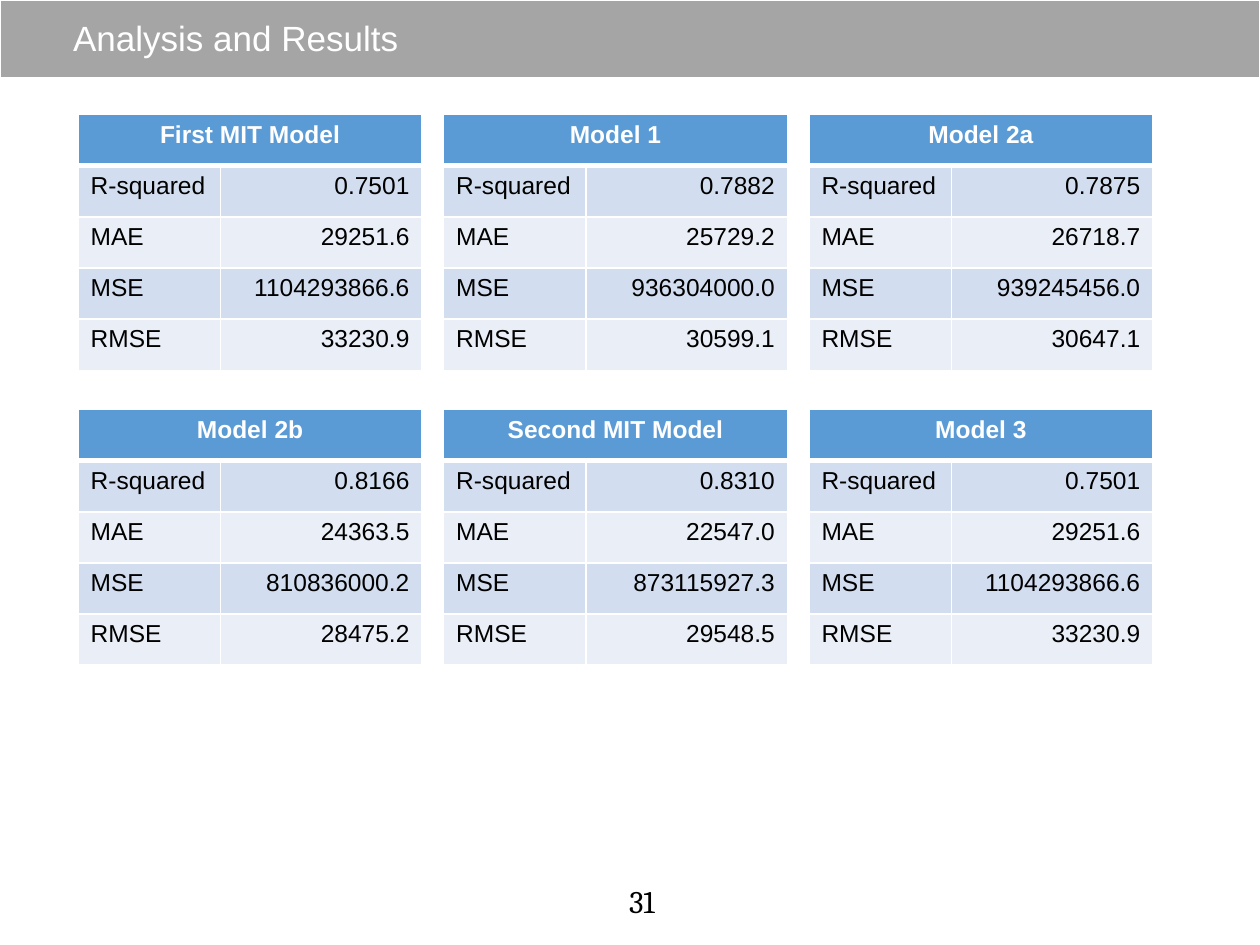
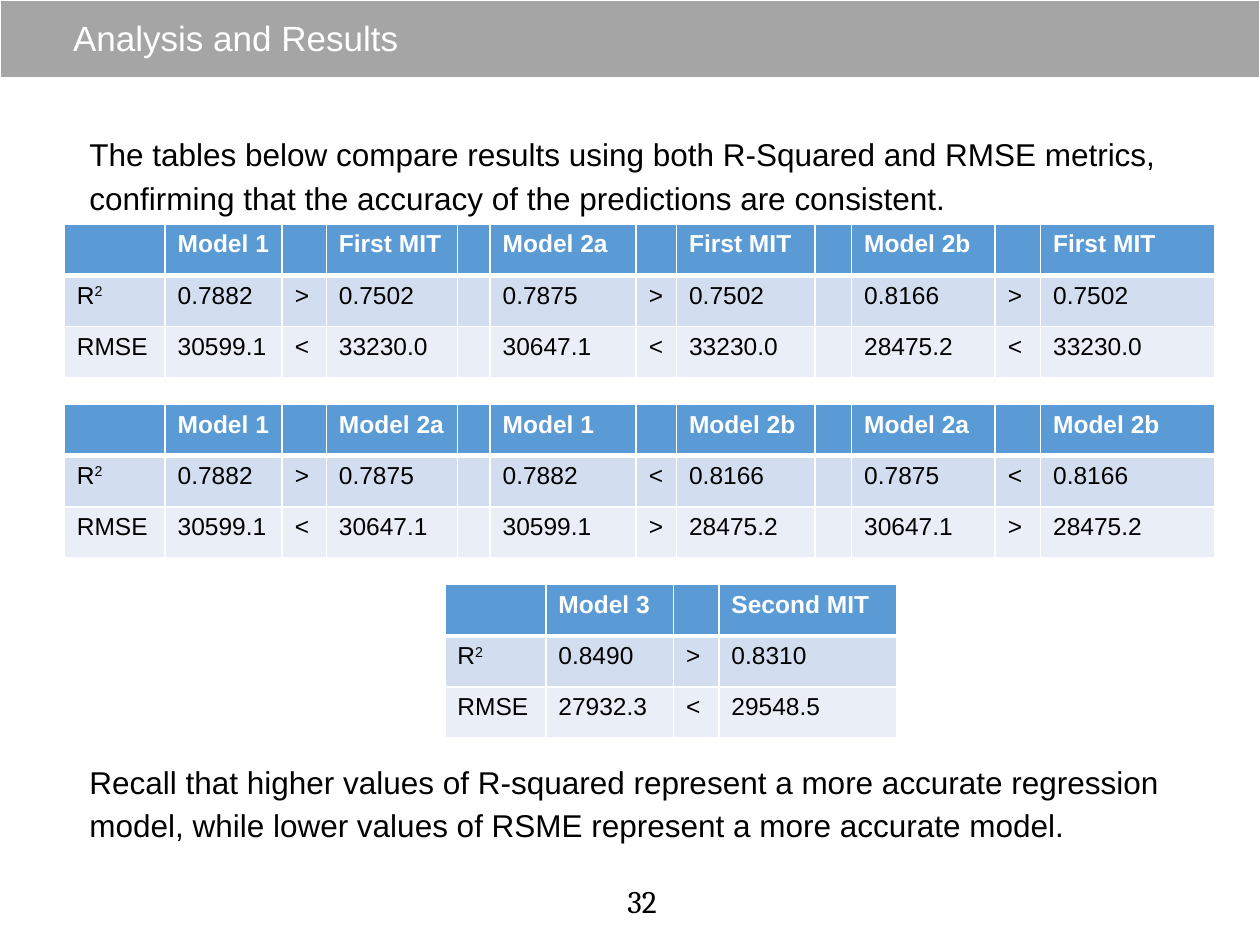
from collections import namedtuple

from lxml import etree
from pptx import Presentation
from pptx.dml.color import RGBColor
from pptx.enum.shapes import MSO_SHAPE
from pptx.enum.text import MSO_ANCHOR, PP_ALIGN
from pptx.oxml.ns import qn
from pptx.util import Inches, Pt

RECT = MSO_SHAPE.RECTANGLE
MIDDLE, TOP = MSO_ANCHOR.MIDDLE, MSO_ANCHOR.TOP
LEFT, CENTER, RIGHT = PP_ALIGN.LEFT, PP_ALIGN.CENTER, PP_ALIGN.RIGHT

WHITE, BLACK, GRAY = "FFFFFF", "000000", "A5A5A5"
HEAD, BANDS = "5B9BD5", ("D2DEEF", "EAEFF7")

# The slide is a grid of 10 columns and 7.5 rows, one inch each
COLS, ROWS = 10, 7.5
Box = namedtuple("Box", "x y w h")
BAND = Box(0, 0, COLS, 0.62)
TITLE = Box(0.53, 0.02, 7.67, 0.59)
NUMBER = Box(4.87, 6.95, 0.45, 0.4)
BODY = Box(0.66, 0.98, 8.67, 5.97)

LABELS = ("R-squared", "MAE", "MSE", "RMSE")
MODELS = {
    "First MIT Model": ("0.7501", "29251.6", "1104293866.6", "33230.9"),
    "Model 1": ("0.7882", "25729.2", "936304000.0", "30599.1"),
    "Model 2a": ("0.7875", "26718.7", "939245456.0", "30647.1"),
    "Model 2b": ("0.8166", "24363.5", "810836000.2", "28475.2"),
    "Second MIT Model": ("0.8310", "22547.0", "873115927.3", "29548.5"),
    "Model 3": ("0.7501", "29251.6", "1104293866.6", "33230.9"),
}

# R² and RMSE of each model that is compared
SCORES = {
    "Model 1": ("0.7882", "30599.1"),
    "Model 2a": ("0.7875", "30647.1"),
    "Model 2b": ("0.8166", "28475.2"),
    "Model 3": ("0.8490", "27932.3"),
    "First MIT": ("0.7502", "33230.0"),
    "Second MIT": ("0.8310", "29548.5"),
}
WIDE = (0.8, 0.93, 0.35, 1.04, 0.26, 1.16, 0.32, 1.1, 0.29, 1.14, 0.36, 1.38)
NARROW = (0.8, 1.01, 0.36, 1.41)
DUELS = (
    (Box(0.51, 1.78, 9.13, 1.22), WIDE,
     (("Model 1", "First MIT"), ("Model 2a", "First MIT"), ("Model 2b", "First MIT"))),
    (Box(0.51, 3.21, 9.13, 1.22), WIDE,
     (("Model 1", "Model 2a"), ("Model 1", "Model 2b"), ("Model 2a", "Model 2b"))),
    (Box(3.53, 4.64, 3.59, 1.22), NARROW, (("Model 3", "Second MIT"),)),
)
INTRO = ("The tables below compare results using both R-Squared and RMSE metrics, "
         "confirming that the accuracy of the predictions are consistent.")
RECALL = ("Recall that higher values of R-squared represent a more accurate regression "
          "model, while lower values of RSME represent a more accurate model.")


def color(code):
    return RGBColor.from_string(code)


def place(box):
    return [Inches(n) for n in box]


def style(para, size, code, font="Arial", bold=False, align=LEFT):
    para.alignment = align
    for run in para.runs:
        run.font.size, run.font.name, run.font.bold = Pt(size), font, bold
        run.font.color.rgb = color(code)


def add_text(slide, box, lines, size, code, font="Arial", align=LEFT, anchor=TOP):
    frame = slide.shapes.add_textbox(*place(box)).text_frame
    frame.word_wrap = True
    frame.vertical_anchor = anchor
    frame.margin_left = frame.margin_right = Inches(0.05)
    frame.margin_top = frame.margin_bottom = Inches(0.05)
    frame.text = "\n".join(lines)
    for para in frame.paragraphs:
        style(para, size, code, font, align=align)
    return frame.paragraphs


def add_base(deck, number):
    """Blank slide with band, title and page number."""
    slide = deck.slides.add_slide(deck.slide_layouts[6])
    band = slide.shapes.add_shape(RECT, *place(BAND))
    band.shadow.inherit = False
    band.fill.solid()
    band.fill.fore_color.rgb = color(GRAY)
    band.line.color.rgb = color(WHITE)
    band.line.width = Pt(1.5)
    title = add_text(slide, TITLE, ["Analysis and Results"], 20, WHITE, anchor=MIDDLE)
    title[0].line_spacing = 0.9
    add_text(slide, NUMBER, [str(number)], 18, BLACK, "Cambria", CENTER)
    return slide


def set_edges(cell, row):
    """White cell borders, thicker under the header row."""
    props = cell._tc.get_or_add_tcPr()
    widths = {"lnL": 1, "lnR": 1, "lnT": 3 if row == 1 else 1, "lnB": 1 if row else 3}
    for spot, (tag, width) in enumerate(widths.items()):
        line = etree.Element(qn("a:" + tag), w=str(Pt(width)))
        fill = etree.SubElement(line, qn("a:solidFill"))
        etree.SubElement(fill, qn("a:srgbClr"), val=WHITE)
        props.insert(spot, line)


def fill_cell(cell, row, text, align):
    cell.fill.solid()
    cell.fill.fore_color.rgb = color(BANDS[(row - 1) % 2] if row else HEAD)
    set_edges(cell, row)
    para = cell.text_frame.paragraphs[0]
    if text == "R²":
        para.text = "R"
        power = para.add_run()
        power.text = "2"
        power.font._element.set("baseline", "30000")
    elif text:
        para.text = text
    style(para, 14, BLACK if row else WHITE, bold=not row, align=align)


def add_grid(slide, box, widths, rows, aligns):
    """Banded table; widths are shares of the box."""
    table = slide.shapes.add_table(len(rows), len(widths), *place(box)).table
    for col, width in zip(table.columns, widths):
        col.width = Inches(box.w * width / sum(widths))
    for r, texts in enumerate(rows):
        table.rows[r].height = Inches(box.h / len(rows))
        for c, text in enumerate(texts):
            fill_cell(table.cell(r, c), r, text, aligns[c])
    return table


def add_model(slide, box, name, values):
    rows = [(name, ""), *zip(LABELS, values)]
    table = add_grid(slide, box, (1.13, 1.6), rows, (LEFT, RIGHT))
    table.cell(0, 0).merge(table.cell(0, 1))
    table.cell(0, 0).text_frame.paragraphs[0].alignment = CENTER


def add_duel(slide, box, widths, pairs):
    """Pairs of models side by side, with the sign between them."""
    rows = [[""], ["R²"], ["RMSE"]]
    for n, (one, two) in enumerate(pairs):
        if n:
            for row in rows:
                row.append("")
        rows[0] += [one, "", two]
        for row, a, b in zip(rows[1:], SCORES[one], SCORES[two]):
            row += [a, ">" if float(a) > float(b) else "<", b]
    add_grid(slide, box, widths, rows, [LEFT] * len(widths))


def add_models(deck):
    slide = add_base(deck, 31)
    for n, (name, values) in enumerate(MODELS.items()):
        row, col = divmod(n, 3)
        box = Box(0.62 + 2.9 * col, 0.91 + 2.34 * row, 2.73, 2.03)
        add_model(slide, box, name, values)


def add_duels(deck):
    slide = add_base(deck, 32)
    paras = add_text(slide, BODY, [INTRO, RECALL], 18, BLACK)
    for para in paras:
        para.line_spacing = 1.15
    paras[1].space_before = Pt(309)  # room for the tables
    for box, widths, pairs in DUELS:
        add_duel(slide, box, widths, pairs)


def main():
    deck = Presentation()
    deck.slide_width, deck.slide_height = Inches(COLS), Inches(ROWS)
    add_models(deck)
    add_duels(deck)
    deck.save("out.pptx")


if __name__ == "__main__":
    main()
